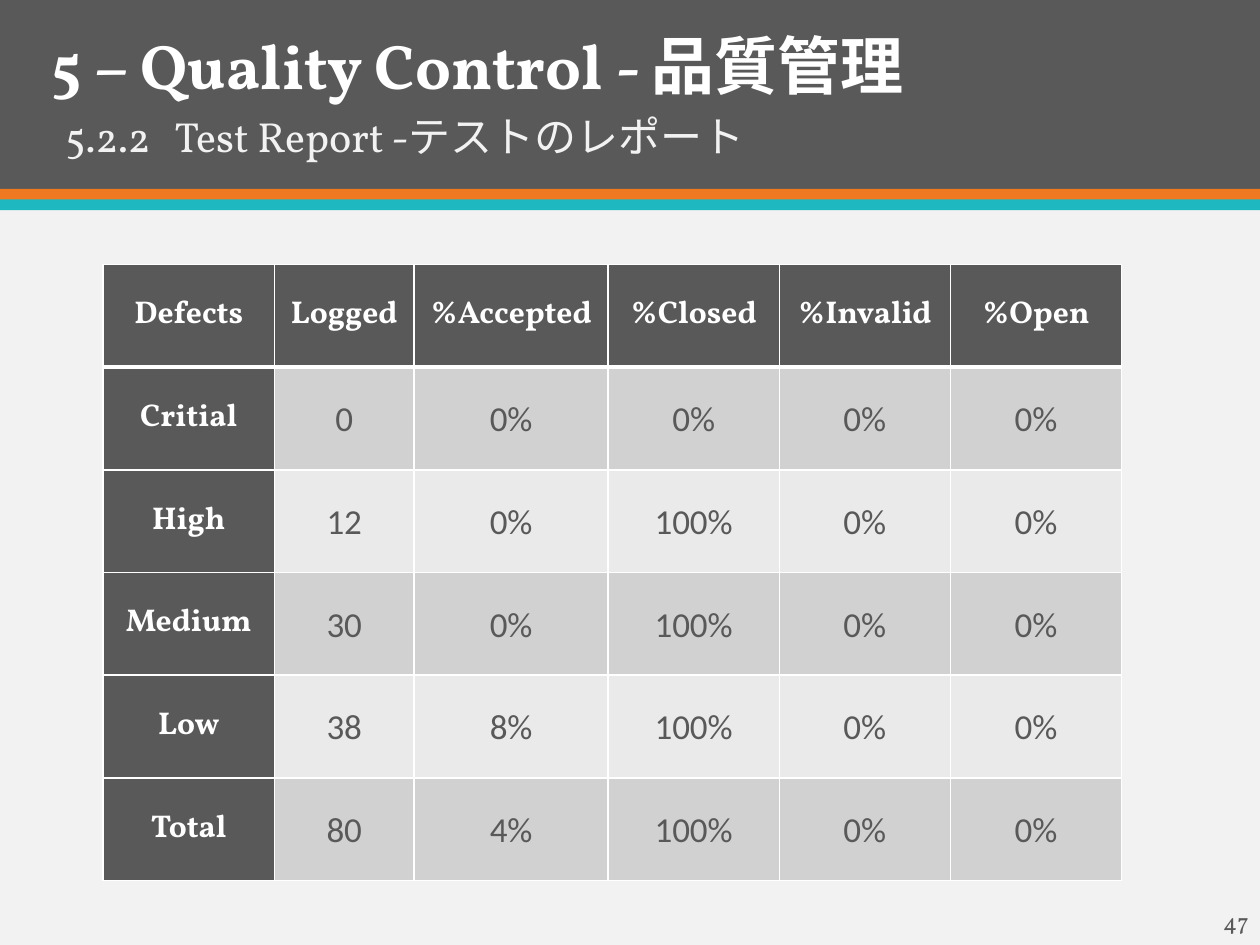
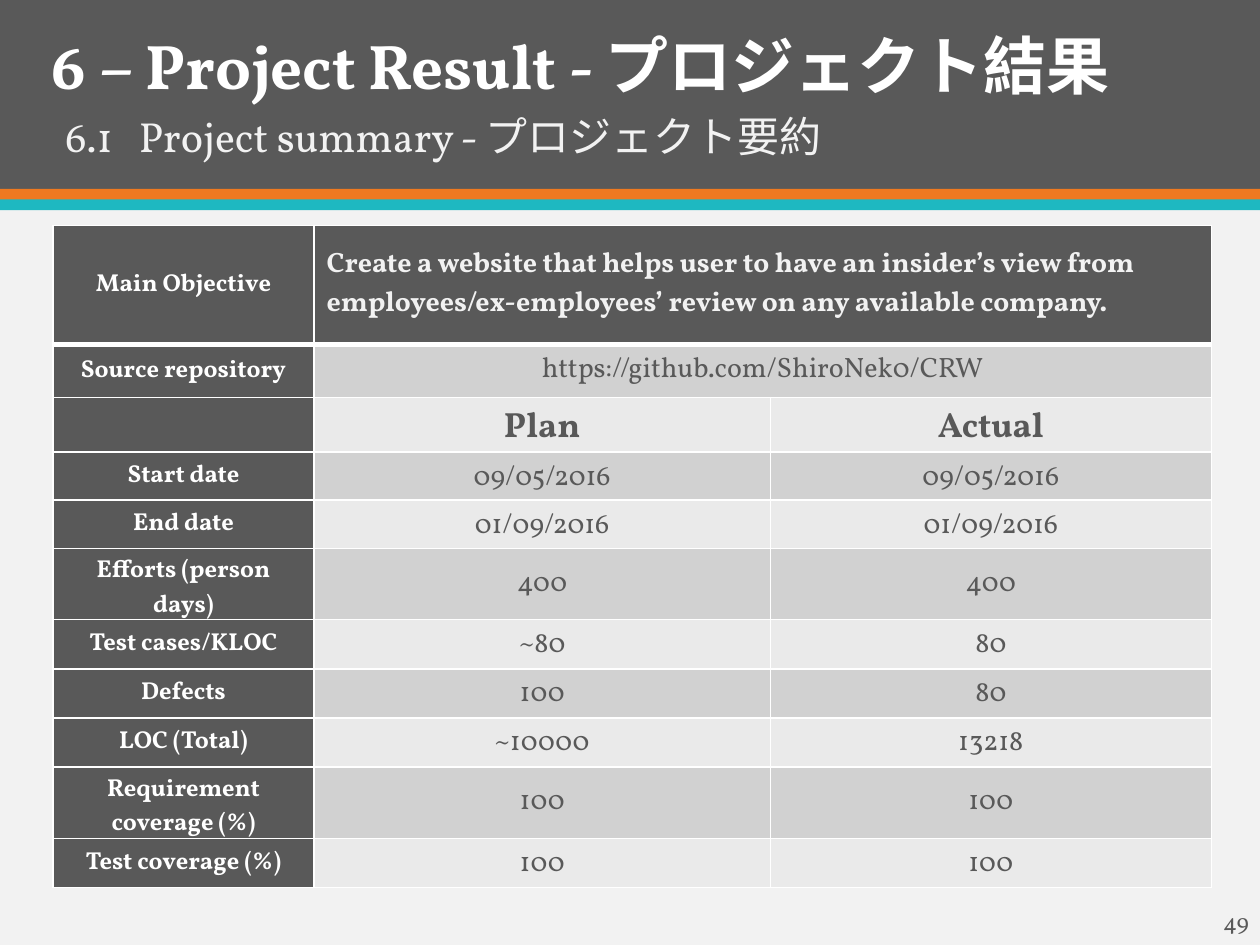
from dataclasses import dataclass, replace
from typing import Optional

from lxml import etree
from pptx import Presentation
from pptx.dml.color import RGBColor
from pptx.enum.shapes import MSO_SHAPE
from pptx.enum.text import MSO_ANCHOR, MSO_AUTO_SIZE, PP_ALIGN
from pptx.oxml.ns import qn
from pptx.util import Cm, Pt

RECTANGLE = MSO_SHAPE.RECTANGLE
MIDDLE = MSO_ANCHOR.MIDDLE
LEFT, CENTER = PP_ALIGN.LEFT, PP_ALIGN.CENTER
GROW = MSO_AUTO_SIZE.SHAPE_TO_FIT_TEXT

COLORS = {
    "dark": "595959",
    "orange": "EF7920",
    "teal": "1EB8C1",
    "paper": "F2F2F2",
    "white": "FFFFFF",
    "odd_row": "D1D1D1",
    "even_row": "EAEAEA",
}


@dataclass(frozen=True)
class Box:
    left: float
    top: float
    width: float
    height: float

    def lengths(self) -> tuple:
        return Cm(self.left), Cm(self.top), Cm(self.width), Cm(self.height)


@dataclass(frozen=True)
class TextStyle:
    size: float
    color: str
    bold: bool = False
    font: str = "Vollkorn"
    align: PP_ALIGN = LEFT
    line_spacing: Optional[float] = None


@dataclass(frozen=True)
class Band:
    box: Box
    color: str


@dataclass(frozen=True)
class Heading:
    title: str
    number: str
    subtitle: str
    subtitle_indent: float
    page: str


@dataclass(frozen=True)
class TableDesign:
    left: float
    top: float
    columns: list
    rows: list
    label: TextStyle
    value: TextStyle
    tight_values: bool = False


BANDS = [
    Band(Box(0, 0, 25.4, 3.81), "dark"),
    Band(Box(0, 3.81, 25.4, 0.22), "orange"),
    Band(Box(0, 4.02, 25.4, 0.22), "teal"),
]
TITLE_BOX = Box(0.79, 0.41, 23.65, 1.8)
SUBTITLE_BOX = Box(1.07, 2.21, 24.33, 1.32)
PAGE_BOX = Box(24.41, 18.16, 2.84, 0.76)

TITLE = TextStyle(36, "white", bold=True)
SUBTITLE = TextStyle(24, "paper", line_spacing=0.9)
PAGE = TextStyle(13.5, "dark")

DEFECT_DESIGN = TableDesign(
    2.08, 5.33, [3.45, 2.82, 3.91] + [3.45] * 3, [2.07] * 6,
    label=TextStyle(18, "white", bold=True, align=CENTER),
    value=TextStyle(20, "dark", font="Calibri", align=CENTER, line_spacing=1.07),
    tight_values=True,
)
DEFECTS = [
    ["Defects", "Logged", "%Accepted", "%Closed", "%Invalid", "%Open"],
    ["Critial", "0", "0%", "0%", "0%", "0%"],
    ["High", "12", "0%", "100%", "0%", "0%"],
    ["Medium", "30", "0%", "100%", "0%", "0%"],
    ["Low", "38", "8%", "100%", "0%", "0%"],
    ["Total", "80", "4%", "100%", "0%", "0%"],
]

SUMMARY_DESIGN = TableDesign(
    1.07, 4.55, [5.26, 9.2, 8.89], [2.39, 1.07, 0.89] + [0.97] * 2 + [0.99] * 6,
    label=TextStyle(14, "white", bold=True, align=CENTER),
    value=TextStyle(16, "dark", align=CENTER),
)
OBJECTIVE = TextStyle(16, "paper", bold=True)
PLAN_ACTUAL = replace(SUMMARY_DESIGN.value, size=20, bold=True)
SUMMARY = [
    ["Main Objective", "Create a website that helps user to have an insider’s view from "
     "employees/ex-employees’ review on any available company.", ""],
    ["Source repository", "https://github.com/ShiroNek0/CRW", ""],
    ["", "Plan", "Actual"],
    ["Start date", "09/05/2016", "09/05/2016"],
    ["End date", "01/09/2016", "01/09/2016"],
    ["Efforts (person days)", "400", "400"],
    ["Test cases/KLOC", "~80", "80"],
    ["Defects", "100", "80"],
    ["LOC (Total)", "~10000", "13218"],
    ["Requirement coverage (%)", "100", "100"],
    ["Test coverage (%)", "100", "100"],
]


def rgb(name: str) -> RGBColor:
    return RGBColor.from_string(COLORS[name])


def style_paragraph(paragraph, style: TextStyle) -> None:
    paragraph.alignment = style.align
    if style.line_spacing:
        paragraph.line_spacing = style.line_spacing
    paragraph.font.name = style.font
    paragraph.font.size = Pt(style.size)
    paragraph.font.bold = style.bold
    paragraph.font.color.rgb = rgb(style.color)


def add_tab_stop(paragraph, position: float) -> None:
    stops = etree.SubElement(paragraph._p.get_or_add_pPr(), qn("a:tabLst"))
    etree.SubElement(stops, qn("a:tab"), pos=str(Cm(position)), algn="l")


def add_text(slide, box: Box, text: str, style: TextStyle,
             tab_stop: Optional[float] = None, grow: bool = False) -> None:
    frame = slide.shapes.add_textbox(*box.lengths()).text_frame
    frame.word_wrap = True
    if grow:
        frame.auto_size = GROW
    paragraph = frame.paragraphs[0]
    paragraph.text = text
    if tab_stop:
        add_tab_stop(paragraph, tab_stop)
    style_paragraph(paragraph, style)


def add_themed_slide(prs, heading: Heading):
    """Add a slide with the shared background, bands, headings and page number."""
    slide = prs.slides.add_slide(prs.slide_layouts[6])
    slide.background.fill.solid()
    slide.background.fill.fore_color.rgb = rgb("paper")
    for band in BANDS:
        stripe = slide.shapes.add_shape(RECTANGLE, *band.box.lengths())
        stripe.shadow.inherit = False
        stripe.fill.solid()
        stripe.fill.fore_color.rgb = rgb(band.color)
        stripe.line.fill.background()
    add_text(slide, TITLE_BOX, heading.title, TITLE, grow=True)
    add_text(slide, SUBTITLE_BOX, f"{heading.number}\t{heading.subtitle}", SUBTITLE,
             tab_stop=heading.subtitle_indent)
    add_text(slide, PAGE_BOX, heading.page, PAGE)
    return slide


def set_borders(cell, top: float, bottom: float) -> None:
    """Draw white cell borders; the sides are always 1 pt wide."""
    properties = cell._tc.get_or_add_tcPr()
    widths = {"a:lnL": 1, "a:lnR": 1, "a:lnT": top, "a:lnB": bottom}
    for index, (side, width) in enumerate(widths.items()):
        border = etree.Element(qn(side), w=str(Pt(width)))
        fill = etree.SubElement(border, qn("a:solidFill"))
        etree.SubElement(fill, qn("a:srgbClr"), val=COLORS["white"])
        properties.insert(index, border)


def add_report_table(slide, design: TableDesign, texts: list):
    """Add a table with a dark header row, dark label column and banded values."""
    box = Box(design.left, design.top, sum(design.columns), sum(design.rows))
    table = slide.shapes.add_table(len(texts), len(texts[0]), *box.lengths()).table
    for column, width in zip(table.columns, design.columns):
        column.width = Cm(width)
    for row, height in zip(table.rows, design.rows):
        row.height = Cm(height)
    for r, row_texts in enumerate(texts):
        for c, text in enumerate(row_texts):
            cell = table.cell(r, c)
            is_label = r == 0 or c == 0
            cell.text = text
            cell.vertical_anchor = MIDDLE
            if design.tight_values and not is_label:
                cell.margin_left = cell.margin_right = Cm(0.18)
                cell.margin_top = cell.margin_bottom = 0
            style_paragraph(cell.text_frame.paragraphs[0],
                            design.label if is_label else design.value)
            cell.fill.solid()
            band = "odd_row" if r % 2 else "even_row"
            cell.fill.fore_color.rgb = rgb("dark" if is_label else band)
            set_borders(cell, top=3 if r == 1 else 1, bottom=3 if r == 0 else 1)
    return table


def add_test_report(prs) -> None:
    slide = add_themed_slide(prs, Heading(
        "5 – Quality Control - 品質管理", "5.2.2", "Test Report -テストのレポート", 2.2, "47"))
    add_report_table(slide, DEFECT_DESIGN, DEFECTS)


def add_project_summary(prs) -> None:
    slide = add_themed_slide(prs, Heading(
        "6 – Project Result - プロジェクト結果", "6.1", "Project summary - プロジェクト要約", 1.48, "49"))
    table = add_report_table(slide, SUMMARY_DESIGN, SUMMARY)
    for r in (0, 1):
        table.cell(r, 1).merge(table.cell(r, 2))
    for r, c, style in ((0, 1, OBJECTIVE), (2, 1, PLAN_ACTUAL), (2, 2, PLAN_ACTUAL)):
        style_paragraph(table.cell(r, c).text_frame.paragraphs[0], style)


def main() -> None:
    prs = Presentation()
    prs.slide_width, prs.slide_height = Cm(25.4), Cm(19.05)
    add_test_report(prs)
    add_project_summary(prs)
    prs.save("out.pptx")


if __name__ == "__main__":
    main()
